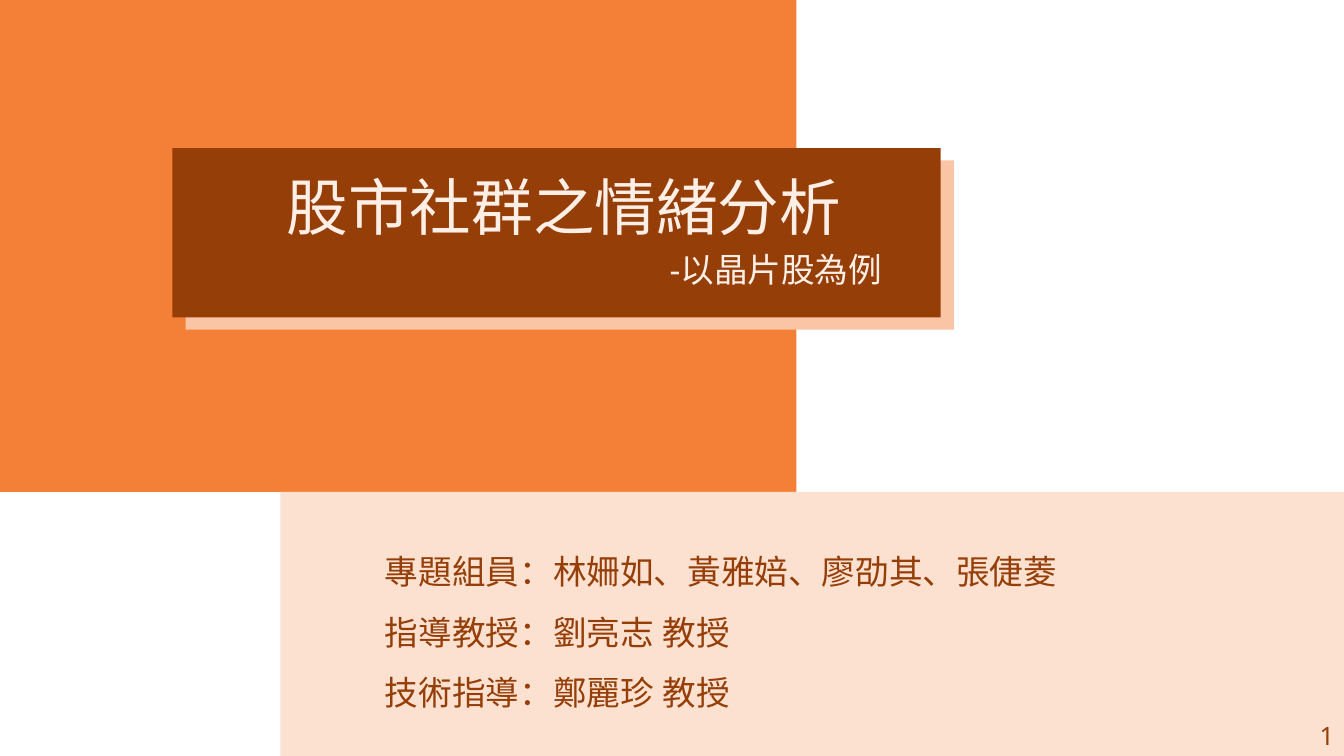
import pptx
import pptx.util
import pptx.dml.color
import pptx.enum.shapes
import pptx.enum.text
import pptx.oxml
import pptx.oxml.ns
from pptx.util import Inches

FONT = "Noto Sans"
ORANGE = "F48038"
BROWN = "963E08"
PEACH = "FAC5A4"
PALE = "FCE1D0"
CREAM = "FEEFE6"
ALIGN = pptx.enum.text.PP_ALIGN


def colour(value):
    return pptx.dml.color.RGBColor.from_string(value)


def add_block(page, left, top, width, height, fill):
    block = page.shapes.add_shape(
        pptx.enum.shapes.MSO_SHAPE.RECTANGLE,
        Inches(left), Inches(top), Inches(width), Inches(height))
    block.shadow.inherit = False
    block.fill.solid()
    block.fill.fore_color.rgb = colour(fill)
    block.line.fill.background()


def add_text(page, left, top, width, height, lines, size, ink,
             align=ALIGN.LEFT, spacing=1.0):
    box = page.shapes.add_textbox(
        Inches(left), Inches(top), Inches(width), Inches(height))
    frame = box.text_frame
    frame.word_wrap = True
    frame.text = "\n".join(lines)
    for para in frame.paragraphs:
        para.alignment = align
        para.line_spacing = spacing
        para.font.size = pptx.util.Pt(size)
        para.font.name = FONT
        para.font.color.rgb = colour(ink)
        latin = para._p.find(".//" + pptx.oxml.ns.qn("a:latin"))
        asian = pptx.oxml.parse_xml(
            f'<a:ea {pptx.oxml.ns.nsdecls("a")} typeface="{FONT}"/>')
        latin.addnext(asian)


def main():
    deck = pptx.Presentation()
    deck.slide_width = Inches(13.33)
    deck.slide_height = Inches(7.5)
    page = deck.slides.add_slide(deck.slide_layouts[6])

    add_block(page, 0, 0, 7.9, 4.88, ORANGE)
    add_block(page, 2.78, 4.88, 10.55, 2.62, PALE)
    for left, top, fill in ((1.84, 1.59, PEACH), (1.71, 1.47, BROWN)):
        add_block(page, left, top, 7.62, 1.68, fill)

    add_text(page, 2.59, 1.63, 6.01, 0.84, ["股市社群之情緒分析"], 44, CREAM,
             ALIGN.CENTER)
    people = ["專題組員：林姍如、黃雅婄、廖劭其、張倢菱",
              "指導教授：劉亮志 教授",
              "技術指導：鄭麗珍 教授"]
    add_text(page, 3.72, 5.22, 7.04, 1.85, people, 24, BROWN, spacing=1.5)
    add_text(page, 12.83, 7.1, 0.5, 0.4, ["1"], 18, BROWN, ALIGN.RIGHT)
    add_text(page, 6.47, 2.42, 2.45, 0.5, ["-以晶片股為例"], 24, CREAM,
             ALIGN.CENTER)

    deck.save("out.pptx")


if __name__ == "__main__":
    main()
